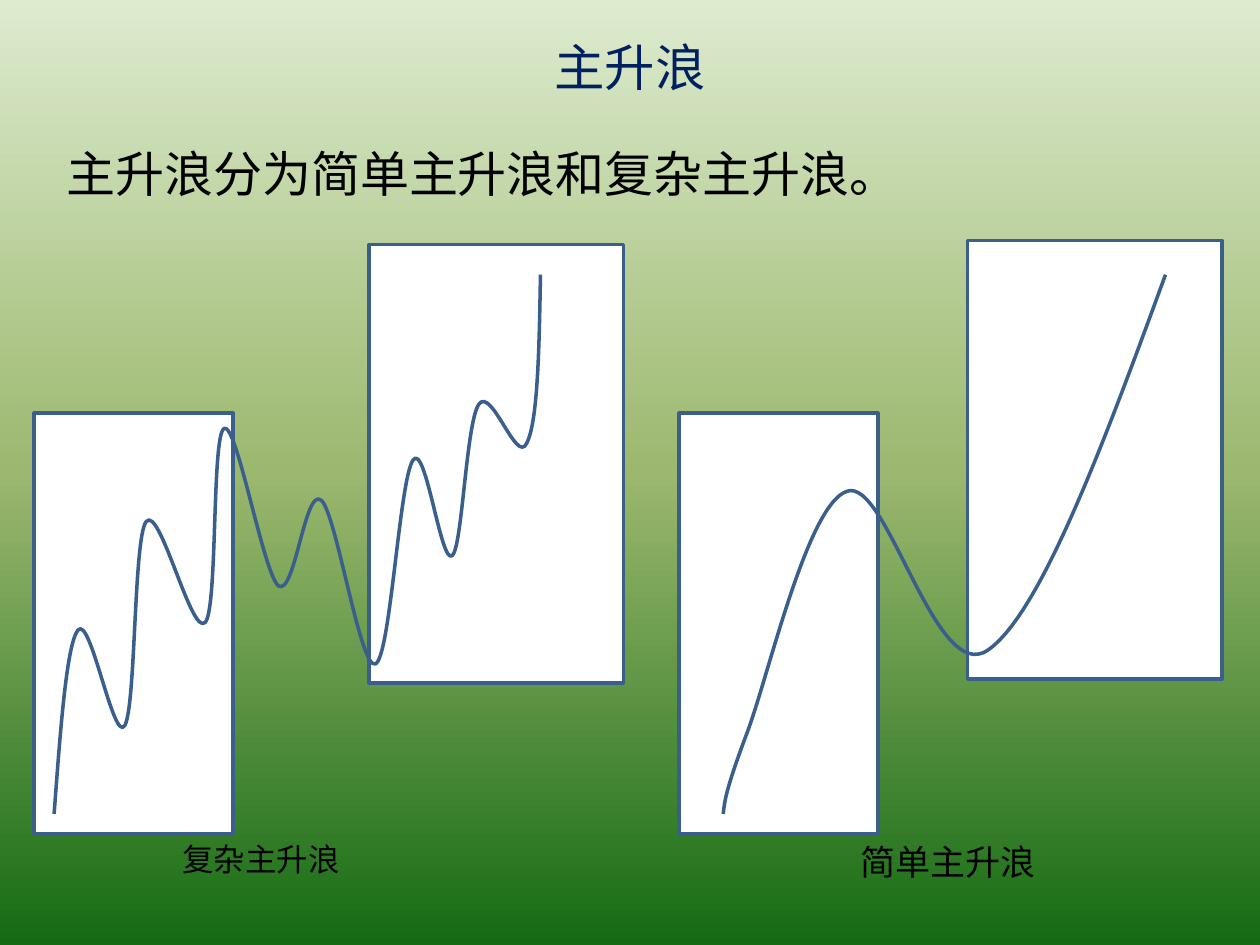
import copy
from lxml import etree
from pptx import Presentation
from pptx import util as u
from pptx.dml.color import RGBColor
from pptx.enum import shapes, text
from pptx.oxml.ns import qn

FONT = "Noto Sans CJK SC"
BLUE = "3A5F8C"

# Waves in hundredths of an inch: a start, then (control, control, end) per curve
COMPLEX_WAVE = (43, 646), [
    (48, 579, 53, 511, 62, 500), (72, 488, 90, 590, 99, 576),
    (108, 561, 106, 428, 116, 414), (127, 400, 152, 506, 163, 494),
    (173, 482, 168, 345, 178, 340), (188, 335, 209, 455, 221, 465),
    (234, 474, 242, 386, 255, 397), (267, 407, 286, 532, 298, 527),
    (310, 522, 317, 380, 328, 365), (338, 351, 350, 449, 359, 441),
    (367, 434, 370, 336, 380, 321), (390, 306, 410, 369, 418, 352),
    (427, 335, 428, 276, 429, 218),
]
SIMPLE_WAVE = (574, 646), [
    (575, 636, 576, 627, 592, 584), (609, 541, 640, 401, 672, 390),
    (704, 378, 742, 545, 784, 516), (826, 487, 876, 352, 925, 218),
]


def color(hex_code):
    return RGBColor.from_string(hex_code)


def set_background(slide, stops):
    fill = slide.background.fill
    fill.gradient()
    fill.gradient_angle = 270
    first = next(slide.background._cSld.iter(qn("a:gs")))
    first.addnext(copy.deepcopy(first))
    for stop, (position, hex_code) in zip(fill.gradient_stops, stops):
        stop.position = position
        stop.color.rgb = color(hex_code)


def outline(sp):
    sp.shadow.inherit = False
    sp.line.color.rgb = color(BLUE)
    sp.line.width = u.Pt(2)


def add_panel(slide, *box):
    sp = slide.shapes.add_shape(shapes.MSO_SHAPE.RECTANGLE, *map(u.Inches, box))
    sp.fill.solid()
    sp.fill.fore_color.rgb = color("FFFFFF")
    outline(sp)


def add_wave(slide, start, curves):
    builder = slide.shapes.build_freeform(*start, scale=u.Inches(0.01))
    builder.add_line_segments([c[-2:] for c in curves], close=False)
    sp = builder.convert_to_shape()
    sp.fill.background()
    outline(sp)
    # Turn the straight segments into Bezier curves
    ends = [start] + [c[-2:] for c in curves]
    left, top = (min(axis) for axis in zip(*ends))
    segments = list(sp._element.iter(qn("a:lnTo")))
    for segment, c in zip(segments, curves):
        bezier = etree.Element(qn("a:cubicBezTo"))
        for x, y in zip(c[::2], c[1::2]):
            etree.SubElement(bezier, qn("a:pt"), x=str(x - left), y=str(y - top))
        segment.getparent().replace(segment, bezier)


def add_text(slide, words, box, size, hex_code="000000", title=False):
    tf = slide.shapes.add_textbox(*map(u.Inches, box)).text_frame
    tf.word_wrap = title
    p = tf.paragraphs[0]
    if title:
        tf.vertical_anchor = text.MSO_ANCHOR.MIDDLE
        p.alignment = text.PP_ALIGN.CENTER
    else:
        tf.auto_size = text.MSO_AUTO_SIZE.SHAPE_TO_FIT_TEXT
    r = p.add_run()
    r.text = words
    r.font.size = u.Pt(size)
    r.font.color.rgb = color(hex_code)
    r.font.name = FONT
    etree.SubElement(r.font._element, qn("a:ea"), typeface=FONT)


def main():
    prs = Presentation()
    prs.slide_width, prs.slide_height = u.Inches(10), u.Inches(7.5)
    slide = prs.slides.add_slide(prs.slide_layouts[6])
    set_background(slide, [(0, "DDEBCF"), (0.5, "9CB86E"), (1, "156B13")])

    # Panels behind the rising legs
    add_panel(slide, 5.39, 3.28, 1.58, 3.34)
    add_panel(slide, 7.68, 1.91, 2.02, 3.48)
    add_panel(slide, 0.27, 3.28, 1.58, 3.34)
    add_panel(slide, 2.93, 1.94, 2.02, 3.48)

    # Title and statement
    add_text(slide, "主升浪", (0.5, 0.3, 9, 0.46), 28.8, "002060", title=True)
    add_text(slide, "主升浪分为简单主升浪和复杂主升浪。", (0.43, 1.09, 6.88, 0.57), 28)

    # Waves and captions
    add_wave(slide, *COMPLEX_WAVE)
    add_wave(slide, *SIMPLE_WAVE)
    add_text(slide, "简单主升浪", (6.73, 6.62, 1.6, 0.44), 20)
    add_text(slide, "复杂主升浪", (1.35, 6.62, 1.47, 0.4), 18)

    prs.save("out.pptx")


if __name__ == "__main__":
    main()
